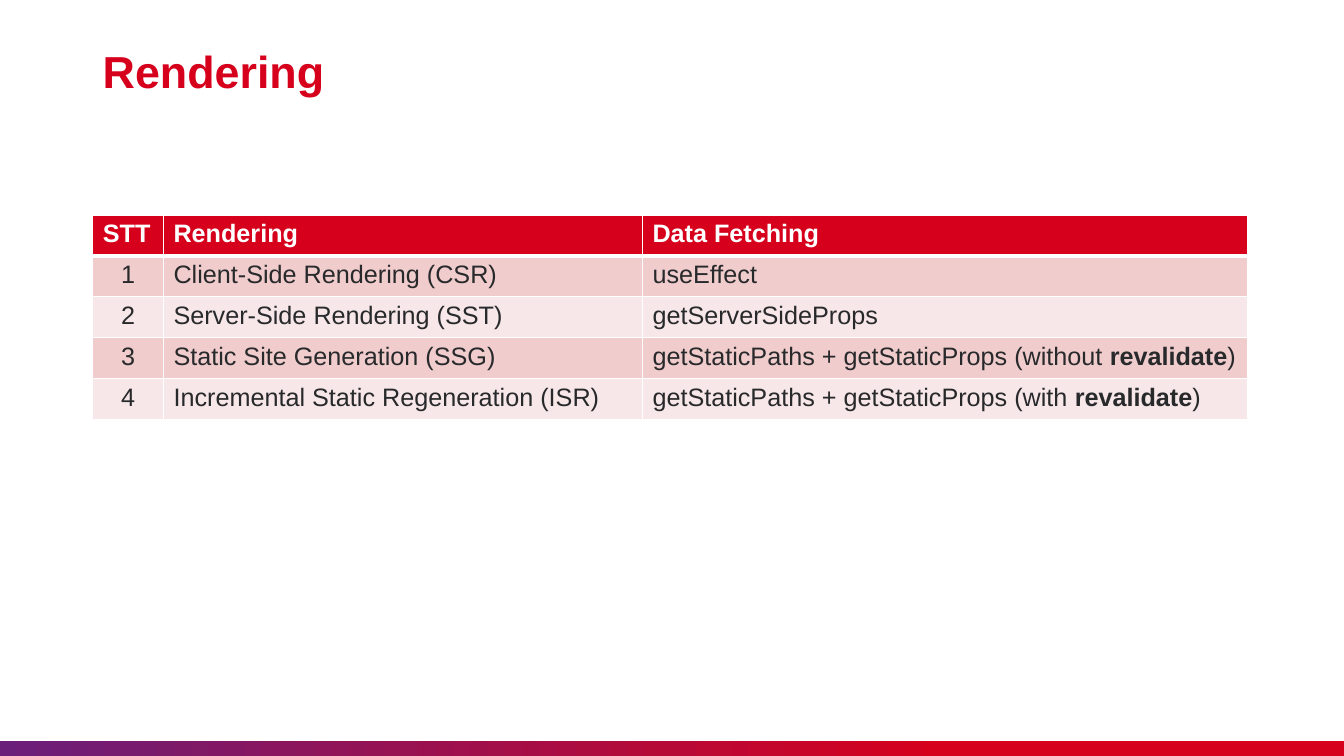
"""Build the Rendering slide with its table of data fetching methods."""
from lxml.etree import SubElement
from pptx import Presentation
from pptx.dml.color import RGBColor as RGB
from pptx.enum.shapes import MSO_SHAPE as SHAPE
from pptx.enum.text import MSO_ANCHOR as ANCHOR, PP_ALIGN as ALIGN
from pptx.oxml.ns import qn
from pptx.util import Cm, Pt

COLORS = {
    "red": "D6001C",
    "purple": "6A1F7A",
    "ink": "28292B",
    "white": "FFFFFF",
    "odd": "F0CCCD",
    "even": "F7E7E8",
}
HEADER = ["STT", "Rendering", "Data Fetching"]
METHODS = [
    ("Client-Side Rendering (CSR)", "useEffect"),
    ("Server-Side Rendering (SST)", "getServerSideProps"),
    ("Static Site Generation (SSG)", "getStaticPaths + getStaticProps (without **revalidate**)"),
    ("Incremental Static Regeneration (ISR)", "getStaticPaths + getStaticProps (with **revalidate**)"),
]


def write(tf, text, size=18, color="ink", bold=False, align=ALIGN.LEFT, spacing=None):
    p = tf.paragraphs[0]
    p.alignment = align
    if spacing:
        p.line_spacing = spacing
    for i, part in enumerate(text.split("**")):
        r = p.add_run()
        r.text = part
        r.font.name = "Arial"
        r.font.size = Pt(size)
        r.font.bold = bold or i % 2 == 1
        r.font.color.rgb = RGB.from_string(COLORS[color])


class Deck:
    def __init__(self):
        self.prs = Presentation()
        self.prs.slide_width, self.prs.slide_height = Cm(33.87), Cm(19.05)
        self.slide = self.prs.slides.add_slide(self.prs.slide_layouts[6])

    def gradient_bar(self, x, y, w, h, stops):
        sp = self.slide.shapes.add_shape(SHAPE.RECTANGLE, Cm(x), Cm(y), Cm(w), Cm(h))
        sp.shadow.inherit = False
        sp.line.fill.background()
        sp.fill.gradient()
        sp.fill.gradient_angle = 0
        for stop, (position, color) in zip(sp.fill.gradient_stops, stops):
            stop.position = position
            stop.color.rgb = RGB.from_string(COLORS[color])

    def title(self, text, x, y, w, h):
        tf = self.slide.shapes.add_textbox(Cm(x), Cm(y), Cm(w), Cm(h)).text_frame
        tf.word_wrap = True
        tf.vertical_anchor = ANCHOR.MIDDLE
        write(tf, text, size=32, color="red", bold=True, spacing=0.9)

    def borders(self, cell, **widths):
        tc_pr = cell._tc.get_or_add_tcPr()
        for side, width in widths.items():
            ln = SubElement(tc_pr, qn(f"a:ln{side}"), w=str(Pt(width)))
            fill = SubElement(ln, qn("a:solidFill"))
            SubElement(fill, qn("a:srgbClr"), val=COLORS["white"])

    def table(self, rows, x, y, widths, row_height):
        frame = self.slide.shapes.add_table(
            len(rows), len(widths), Cm(x), Cm(y), Cm(sum(widths)), Cm(row_height * len(rows)))
        table = frame.table
        for column, width in zip(table.columns, widths):
            column.width = Cm(width)
        for i, values in enumerate(rows):
            table.rows[i].height = Cm(row_height)
            fill = "red" if i == 0 else "odd" if i % 2 else "even"
            for j, text in enumerate(values):
                cell = table.cell(i, j)
                self.borders(cell, L=1, R=1, T=3 if i == 1 else 1, B=3 if i == 0 else 1)
                cell.fill.solid()
                cell.fill.fore_color.rgb = RGB.from_string(COLORS[fill])
                write(cell.text_frame, text, color="ink" if i else "white", bold=i == 0,
                      align=ALIGN.CENTER if i and j == 0 else ALIGN.LEFT)


def main():
    deck = Deck()
    deck.gradient_bar(0, 18.67, 33.87, 0.38, [(0, "purple"), (0.7, "red")])
    deck.title("Rendering", 2.34, 1.12, 15.88, 1.5)
    rows = [HEADER] + [(str(n), *method) for n, method in enumerate(METHODS, 1)]
    deck.table(rows, 2.34, 5.42, [1.78, 12.07, 15.24], 1.03)
    deck.prs.save("out.pptx")


if __name__ == "__main__":
    main()
